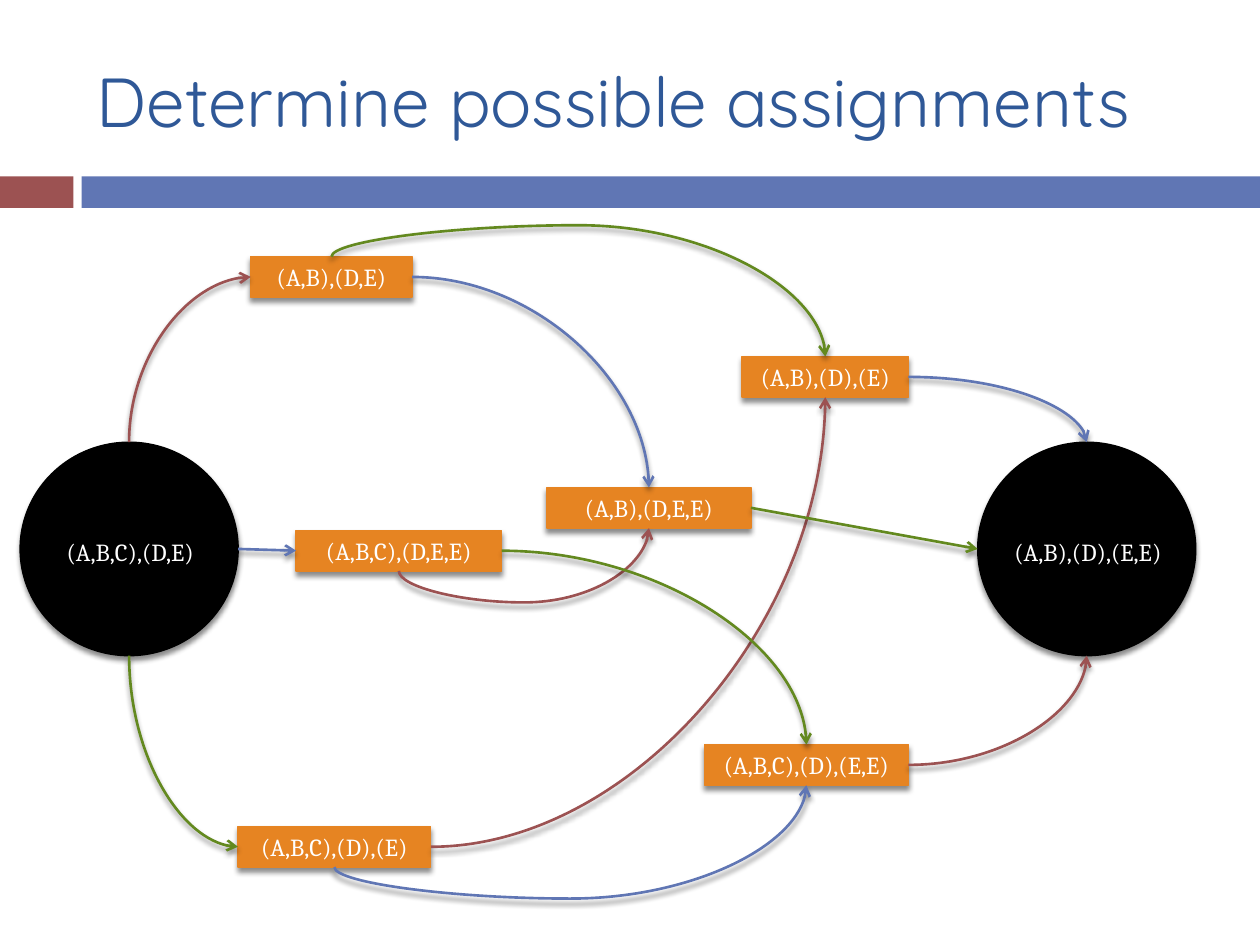
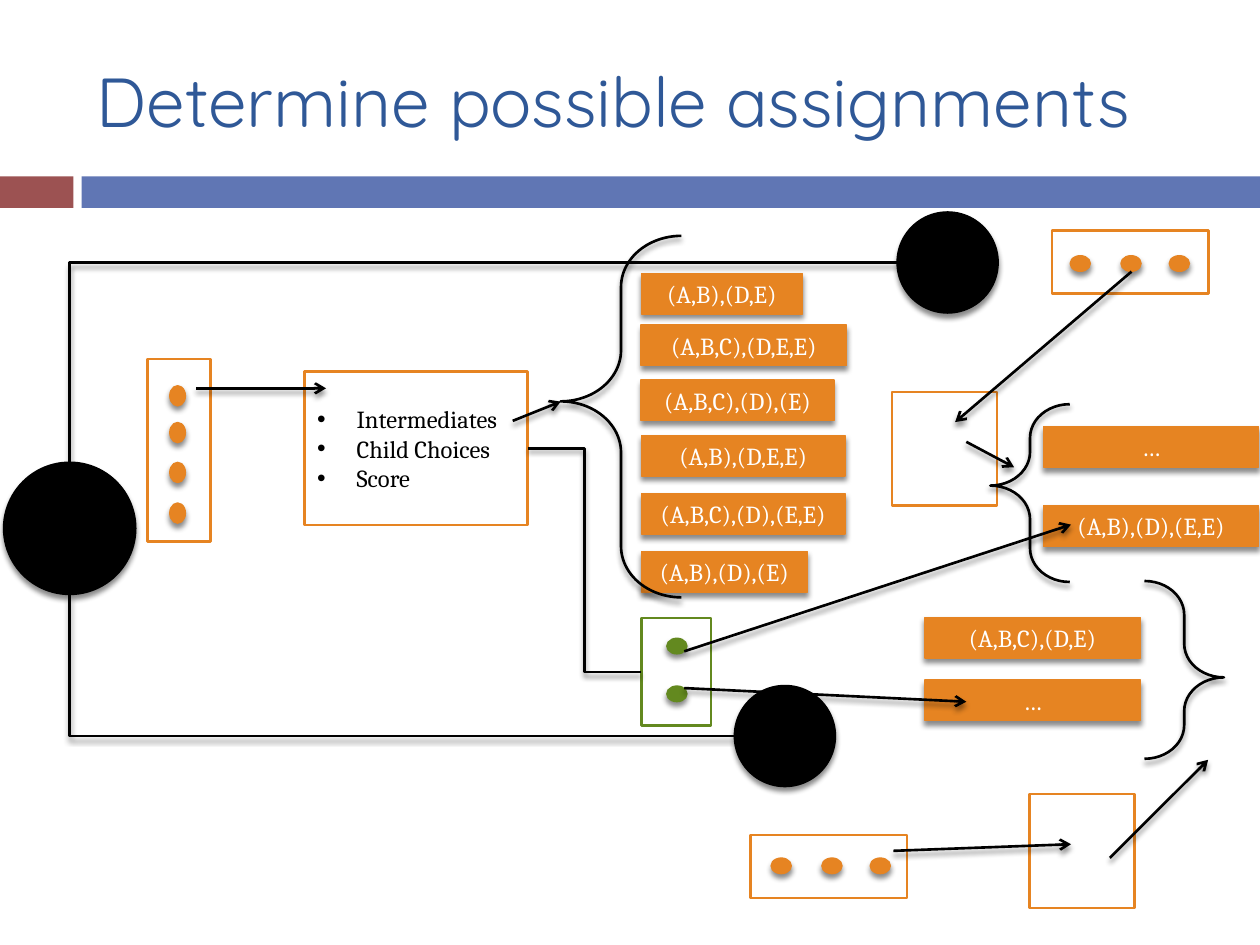
from dataclasses import dataclass

import lxml.etree
import pptx
import pptx.dml.color
import pptx.enum.shapes
import pptx.enum.text
import pptx.oxml.ns
import pptx.shapes.autoshape
import pptx.shapes.connector
import pptx.slide
import pptx.text.text
import pptx.util

Pt = pptx.util.Pt
RGBColor = pptx.dml.color.RGBColor
Slide = pptx.slide.Slide
Shape = pptx.shapes.autoshape.Shape
SHAPE = pptx.enum.shapes.MSO_SHAPE
CONNECTOR = pptx.enum.shapes.MSO_CONNECTOR
ALIGN = pptx.enum.text.PP_ALIGN
ANCHOR = pptx.enum.text.MSO_ANCHOR
qn = pptx.oxml.ns.qn

# Shared look
BLACK = RGBColor(0x00, 0x00, 0x00)
WHITE = RGBColor(0xFF, 0xFF, 0xFF)
RED = RGBColor(0x9C, 0x52, 0x52)
BLUE = RGBColor(0x60, 0x76, 0xB4)
GREEN = RGBColor(0x63, 0x89, 0x1F)
ORANGE = RGBColor(0xE6, 0x84, 0x22)
TITLE_BLUE = RGBColor(0x2F, 0x58, 0x97)
TITLE_FONT, BODY_FONT = "Quicksand", "Cambria"
THIN, THICK = 0.79, 1.5
STATE_HEIGHT = 23.2
WIDE_STATE = 123.1
BULGE = 18  # how far a looping curve swings beyond its start

# Assignments and the widths of their boxes
STATE_WIDTHS = {
    "(A,B),(D,E)": 92.2,
    "(A,B,C),(D,E,E)": 117.4,
    "(A,B,C),(D),(E)": 110.2,
    "(A,B),(D,E,E)": 116.6,
    "(A,B,C),(D),(E,E)": 116.6,
    "(A,B),(D),(E)": 95,
}


@dataclass(frozen=True)
class Anchor:
    x: float
    y: float
    vertical: bool = False  # the line leaves or arrives vertically


@dataclass(frozen=True)
class Box:
    left: float
    top: float
    width: float
    height: float
    rotation: int = 0

    def anchor(self, side: str) -> Anchor:
        x, y = self.left + self.width / 2, self.top + self.height / 2
        half_width, half_height = self.width / 2, self.height / 2
        if self.rotation == 90:
            half_width, half_height = half_height, half_width
        return {
            "left": Anchor(x - half_width, y),
            "right": Anchor(x + half_width, y),
            "top": Anchor(x, y - half_height, True),
            "bottom": Anchor(x, y + half_height, True),
        }[side]


@dataclass(frozen=True)
class Edge:
    start: str
    start_side: str
    end: str
    end_side: str
    color: RGBColor


# Drawing helpers
def add_shadow(effects: lxml.etree._Element) -> None:
    shadow = lxml.etree.SubElement(
        effects, qn("a:outerShdw"), blurRad=str(Pt(3)), dist=str(Pt(2.4)),
        dir="5400000", rotWithShape="0")
    color = lxml.etree.SubElement(shadow, qn("a:srgbClr"), val="000000")
    lxml.etree.SubElement(color, qn("a:alpha"), val="45000")


def add_run(paragraph: pptx.text.text._Paragraph, text: str, color: RGBColor,
            size: float = 14, font: str = BODY_FONT) -> None:
    run = paragraph.add_run()
    run.text = text
    run.font.size, run.font.name = Pt(size), font
    run.font.color.rgb = color


def draw_shape(slide: Slide, kind: SHAPE, box: Box, fill: RGBColor | None,
               line: RGBColor | None, weight: float = THIN, shadow: bool = True) -> Shape:
    shape = slide.shapes.add_shape(
        kind, Pt(box.left), Pt(box.top), Pt(box.width), Pt(box.height))
    shape.rotation = box.rotation
    if fill is None:
        shape.fill.background()
    else:
        shape.fill.solid()
        shape.fill.fore_color.rgb = fill
    if line is None:
        shape.line.fill.background()
    else:
        shape.line.color.rgb = line
        shape.line.width = Pt(weight)
    shape.shadow.inherit = False
    if shadow:
        add_shadow(shape._element.spPr.find(qn("a:effectLst")))
    return shape


def draw_text(slide: Slide, box: Box, text: str, color: RGBColor, align: ALIGN = ALIGN.CENTER,
              size: float = 14, font: str = BODY_FONT) -> None:
    frame = slide.shapes.add_textbox(
        Pt(box.left), Pt(box.top), Pt(box.width), Pt(box.height)).text_frame
    frame.word_wrap = True
    frame.vertical_anchor = ANCHOR.MIDDLE
    frame.paragraphs[0].alignment = align
    add_run(frame.paragraphs[0], text, color, size, font)


def draw_circle(slide: Slide, box: Box) -> None:
    draw_shape(slide, SHAPE.OVAL, box, BLACK, BLACK)


def draw_panel(slide: Slide, box: Box, line: RGBColor = ORANGE) -> Shape:
    return draw_shape(slide, SHAPE.RECTANGLE, box, WHITE, line, THICK, shadow=False)


def draw_state(slide: Slide, left: float, top: float, label: str) -> Box:
    box = Box(left, top, STATE_WIDTHS.get(label, WIDE_STATE), STATE_HEIGHT)
    frame = draw_shape(slide, SHAPE.RECTANGLE, box, ORANGE, ORANGE).text_frame
    frame.vertical_anchor = ANCHOR.MIDDLE
    frame.paragraphs[0].alignment = ALIGN.CENTER
    add_run(frame.paragraphs[0], label, WHITE)
    return box


def draw_dots(slide: Slide, centres: list[tuple[float, float]], color: RGBColor = ORANGE,
              rotation: int = 0) -> None:
    width, height = 8.9, 11.5
    for x, y in centres:
        box = Box(x - width / 2, y - height / 2, width, height, rotation)
        draw_shape(slide, SHAPE.OVAL, box, color, color)


def draw_brace(slide: Slide, box: Box) -> None:
    brace = draw_shape(slide, SHAPE.LEFT_BRACE, box, None, BLACK, THICK)
    brace.adjustments[0], brace.adjustments[1] = 0.424, 0.458


def connect(slide: Slide, start: Anchor, end: Anchor, color: RGBColor = BLACK,
            family: str = "straight", arrow: bool = True) -> None:
    kinds = {"straight": CONNECTOR.STRAIGHT, "bent": CONNECTOR.ELBOW, "curved": CONNECTOR.CURVE}
    connector = slide.shapes.add_connector(
        kinds[family], Pt(start.x), Pt(start.y), Pt(end.x), Pt(end.y))
    connector.line.color.rgb = color
    connector.line.width = Pt(THICK)
    properties = connector._element.spPr
    if arrow:
        lxml.etree.SubElement(properties.find(qn("a:ln")), qn("a:tailEnd"), type="arrow")
    add_shadow(lxml.etree.SubElement(properties, qn("a:effectLst")))
    if family == "straight":
        return

    # One turn when the two ends differ in direction, two turns when they agree
    geometry = properties.find(qn("a:prstGeom"))
    rise = end.y - start.y
    if start.vertical != end.vertical:
        geometry.set("prst", f"{family}Connector2")
    elif start.vertical:
        lxml.etree.SubElement(
            geometry.find(qn("a:avLst")), qn("a:gd"), name="adj1",
            fmla=f"val {round(-BULGE / abs(rise) * 100000)}")

    # A line that leaves vertically is a turned frame with its sides swapped
    if start.vertical:
        width, height = abs(rise), abs(end.x - start.x)
        connector.left = Pt((start.x + end.x - width) / 2)
        connector.top = Pt((start.y + end.y - height) / 2)
        connector.width, connector.height = Pt(width), Pt(height)
        transform = properties.find(qn("a:xfrm"))
        transform.set("rot", "5400000" if rise < 0 else "16200000")
        transform.set("flipH", "1")
        transform.set("flipV", "1" if rise < 0 else "0")


def new_slide(presentation: pptx.presentation.Presentation) -> Slide:
    slide = presentation.slides.add_slide(presentation.slide_layouts[6])
    for left, width, color in ((0, 42, RED), (46.6, 673.4, BLUE)):
        band = Box(left, 100.8, width, 18)
        draw_shape(slide, SHAPE.RECTANGLE, band, color, None, shadow=False)
    draw_text(slide, Box(48, 18, 642, 78), "Determine possible assignments", TITLE_BLUE,
              ALIGN.LEFT, 39.6, TITLE_FONT)
    return slide


def draw_graph_slide(presentation: pptx.presentation.Presentation) -> None:
    slide = new_slide(presentation)
    first, last = "(A,B,C),(D,E)", "(A,B),(D),(E,E)"
    nodes = {first: Box(11.5, 252.7, 124.6, 122), last: Box(558.7, 252.7, 124.6, 122)}
    for label, box in nodes.items():
        draw_circle(slide, box)
        draw_text(slide, Box(box.left - 5, 303.1, 136, 24.2), label, WHITE)

    # Intermediate states
    for left, top, label in (
        (143.3, 146.7, "(A,B),(D,E)"),
        (136, 472.3, "(A,B,C),(D),(E)"),
        (169.2, 303.1, "(A,B,C),(D,E,E)"),
        (424.1, 203.8, "(A,B),(D),(E)"),
        (402.5, 425.5, "(A,B,C),(D),(E,E)"),
        (312.5, 278.6, "(A,B),(D,E,E)"),
    ):
        nodes[label] = draw_state(slide, left, top, label)

    # Steps between states
    for edge in (
        Edge(first, "top", "(A,B),(D,E)", "left", RED),
        Edge(first, "bottom", "(A,B,C),(D),(E)", "left", GREEN),
        Edge(first, "right", "(A,B,C),(D,E,E)", "left", BLUE),
        Edge("(A,B,C),(D),(E)", "right", "(A,B),(D),(E)", "bottom", RED),
        Edge("(A,B,C),(D),(E)", "bottom", "(A,B,C),(D),(E,E)", "bottom", BLUE),
        Edge("(A,B),(D,E)", "right", "(A,B),(D,E,E)", "top", BLUE),
        Edge("(A,B),(D,E)", "top", "(A,B),(D),(E)", "top", GREEN),
        Edge("(A,B,C),(D,E,E)", "bottom", "(A,B),(D,E,E)", "bottom", RED),
        Edge("(A,B,C),(D,E,E)", "right", "(A,B,C),(D),(E,E)", "top", GREEN),
        Edge("(A,B),(D),(E)", "right", last, "top", BLUE),
        Edge("(A,B),(D,E,E)", "right", last, "left", GREEN),
        Edge("(A,B,C),(D),(E,E)", "right", last, "bottom", RED),
    ):
        start = nodes[edge.start].anchor(edge.start_side)
        end = nodes[edge.end].anchor(edge.end_side)
        straight = not (start.vertical or end.vertical)
        connect(slide, start, end, edge.color, "straight" if straight else "curved")


def draw_structure_slide(presentation: pptx.presentation.Presentation) -> None:
    slide = new_slide(presentation)

    # Tree: a root and two children
    root = Box(2, 264.1, 75.6, 75.6)
    lower, upper = Box(419.6, 391.7, 57.8, 57.8), Box(512.6, 121.1, 57.8, 57.8)
    for circle in (root, lower, upper):
        draw_circle(slide, circle)
    connect(slide, root.anchor("bottom"), lower.anchor("left"), family="bent", arrow=False)
    connect(slide, root.anchor("top"), upper.anchor("left"), family="bent", arrow=False)

    # Root entries and the contents of one entry
    draw_panel(slide, Box(84.2, 205.2, 36, 104.4))
    draw_dots(slide, [(101.5, y) for y in (226.2, 247.2, 270, 293.2)])
    entry = Box(174.2, 212.4, 127.4, 87.6)
    frame = draw_panel(slide, entry).text_frame
    frame.vertical_anchor = ANCHOR.MIDDLE
    for index, text in enumerate(("Intermediates", "Child Choices", "Score")):
        paragraph = frame.add_paragraph() if index else frame.paragraphs[0]
        paragraph.alignment = ALIGN.LEFT
        bullet = paragraph._p.get_or_add_pPr()
        bullet.set("marL", str(Pt(22.5)))
        bullet.set("indent", str(Pt(-22.5)))
        lxml.etree.SubElement(bullet, qn("a:buFont"), typeface="Arial")
        lxml.etree.SubElement(bullet, qn("a:buChar"), char="•")
        add_run(paragraph, text, BLACK)

    # Intermediate states
    for label, top in zip(STATE_WIDTHS, (156.2, 185.8, 217.2, 248.8, 282, 315.2)):
        draw_state(slide, 366.4, top, label)
    draw_brace(slide, Box(320.4, 134.8, 69, 206.6))

    # Entries of both children
    for panel_left, panel_top, dot_left, dot_y in (
        (627.8, 105.1, 617.3, 150.6), (455.5, 450.5, 446.4, 494.8),
    ):
        draw_panel(slide, Box(panel_left, panel_top, 36, 89.5, 90))
        draw_dots(slide, [(dot_left + step, dot_y) for step in (0, 29, 56.6)], rotation=90)
    for left, top in ((509.8, 224), (588.2, 453.8)):
        draw_panel(slide, Box(left, top, 60, 65))
    for left, top, label in (
        (596.2, 289, "(A,B),(D),(E,E)"), (596.2, 243.8, "…"),
        (528.5, 352.8, "(A,B,C),(D,E)"), (528.5, 388.6, "…"),
    ):
        draw_state(slide, left, top, label)
    draw_brace(slide, Box(565.9, 231, 45.4, 101.6))
    draw_brace(slide, Box(654, 332, 45.4, 101.6, 180))

    # Child choices
    choices = Box(355.7, 364, 61.4, 39.8, 90)
    draw_panel(slide, choices, GREEN)
    draw_dots(slide, [(386.8, 369.2), (386.8, 396.5)], GREEN, 90)
    connect(slide, entry.anchor("right"), choices.anchor("left"), family="bent", arrow=False)

    # Pointers
    for start_x, start_y, end_x, end_y in (
        (112.3, 221.9, 186.3, 221.9), (293, 240.5, 320.4, 229.5),
        (552.2, 252.5, 579.5, 267), (646.6, 155.2, 545.8, 241.2),
        (510.5, 486.2, 612, 482.4), (391, 372.2, 612, 299.8),
        (634.2, 490.2, 690.4, 434.2), (391, 393.2, 552.2, 401),
    ):
        connect(slide, Anchor(start_x, start_y), Anchor(end_x, end_y))


presentation = pptx.Presentation()
presentation.slide_width, presentation.slide_height = Pt(720), Pt(540)
draw_graph_slide(presentation)
draw_structure_slide(presentation)
presentation.save("out.pptx")
